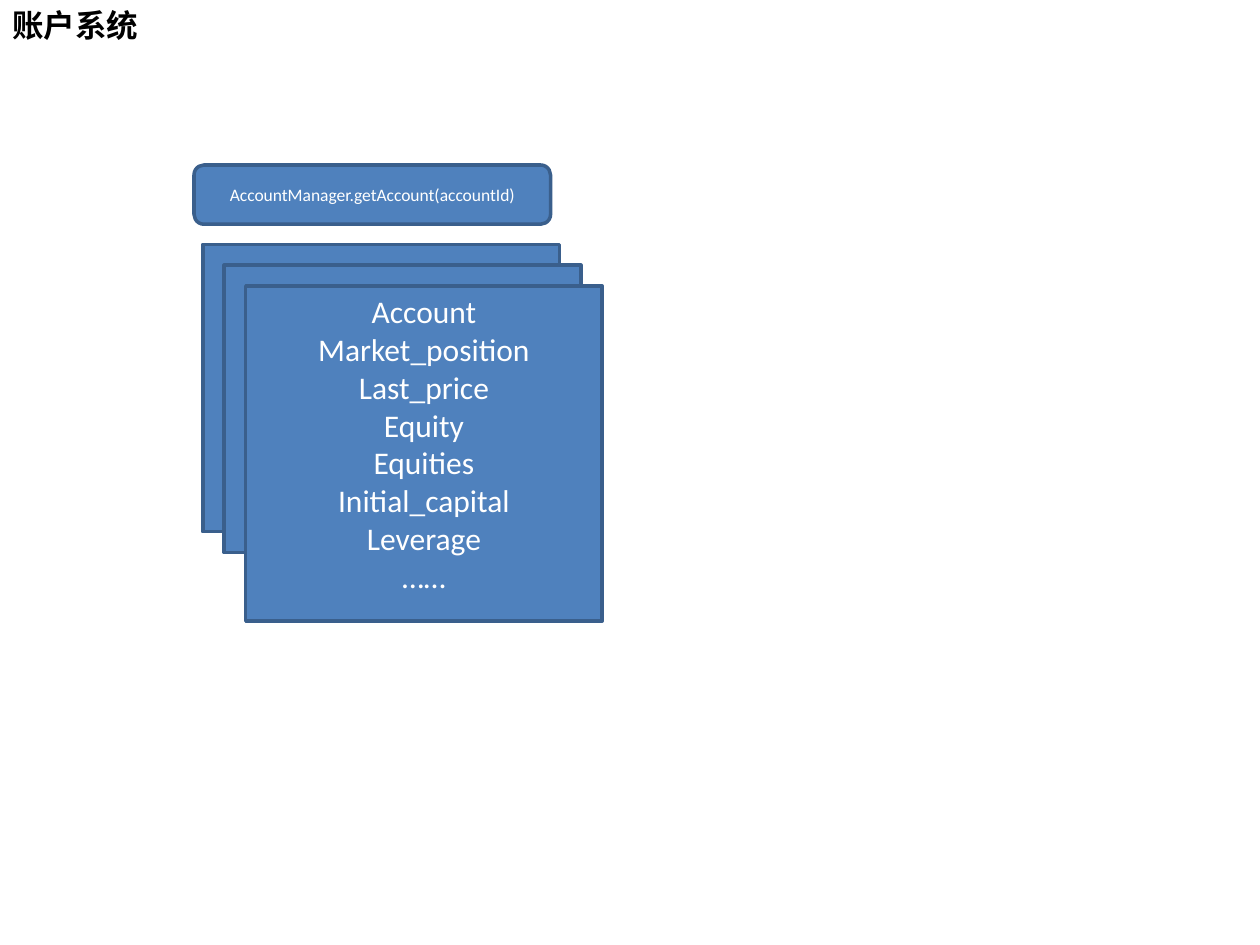
import pptx
import pptx.dml.color
import pptx.enum.shapes
import pptx.enum.text
import pptx.util

Inches = pptx.util.Inches
Pt = pptx.util.Pt
SHAPES = pptx.enum.shapes.MSO_SHAPE
ALIGN = pptx.enum.text.PP_ALIGN
ANCHOR = pptx.enum.text.MSO_ANCHOR

COLORS = {"title": "000000", "fill": "4F81BD", "line": "3A5F8C", "label": "FFFFFF"}
CARD_WIDTH = 2.83
ACCOUNT_FIELDS = [
    "Account", "Market_position", "Last_price", "Equity",
    "Equities", "Initial_capital", "Leverage", "……",
]


def color(name):
    return pptx.dml.color.RGBColor.from_string(COLORS[name])


def write_lines(shape, lines, alignment, anchor, color_name, font_format):
    frame = shape.text_frame
    frame.word_wrap = True
    frame.vertical_anchor = anchor
    for index, line in enumerate(lines):
        paragraph = frame.add_paragraph() if index else frame.paragraphs[0]
        paragraph.alignment = alignment
        run = paragraph.add_run()
        run.text = line
        run.font.color.rgb = color(color_name)
        for name, value in {"name": "Calibri", **font_format}.items():
            setattr(run.font, name, value)


def add_title(slide, text):
    title = slide.shapes.add_textbox(Inches(0), Inches(0), Inches(10), Inches(0.4))
    write_lines(title, [text], ALIGN.LEFT, ANCHOR.TOP, "title",
                {"size": Pt(18), "bold": True})
    title.text_frame.auto_size = pptx.enum.text.MSO_AUTO_SIZE.SHAPE_TO_FIT_TEXT


def add_card(slide, kind, left, top, height):
    card = slide.shapes.add_shape(
        kind, Inches(left), Inches(top), Inches(CARD_WIDTH), Inches(height))
    card.shadow.inherit = False
    card.fill.solid()
    card.fill.fore_color.rgb = color("fill")
    card.line.color.rgb = color("line")
    card.line.width = Pt(2)
    return card


def main():
    presentation = pptx.Presentation()
    presentation.slide_width = Inches(10)
    presentation.slide_height = Inches(7.5)
    slide = presentation.slides.add_slide(presentation.slide_layouts[6])

    add_title(slide, "账户系统")
    manager = add_card(slide, SHAPES.ROUNDED_RECTANGLE, 1.54, 1.31, 0.47)
    write_lines(manager, ["AccountManager.getAccount(accountId)"],
                ALIGN.CENTER, ANCHOR.MIDDLE, "label", {"size": Pt(10)})

    for index, height in enumerate([2.28, 2.28, 2.66]):
        account = add_card(slide, SHAPES.RECTANGLE,
                           1.61 + 0.17 * index, 1.94 + 0.165 * index, height)
    write_lines(account, ACCOUNT_FIELDS, ALIGN.CENTER, ANCHOR.TOP, "label",
                {"size": Pt(18)})

    presentation.save("out.pptx")


main()
